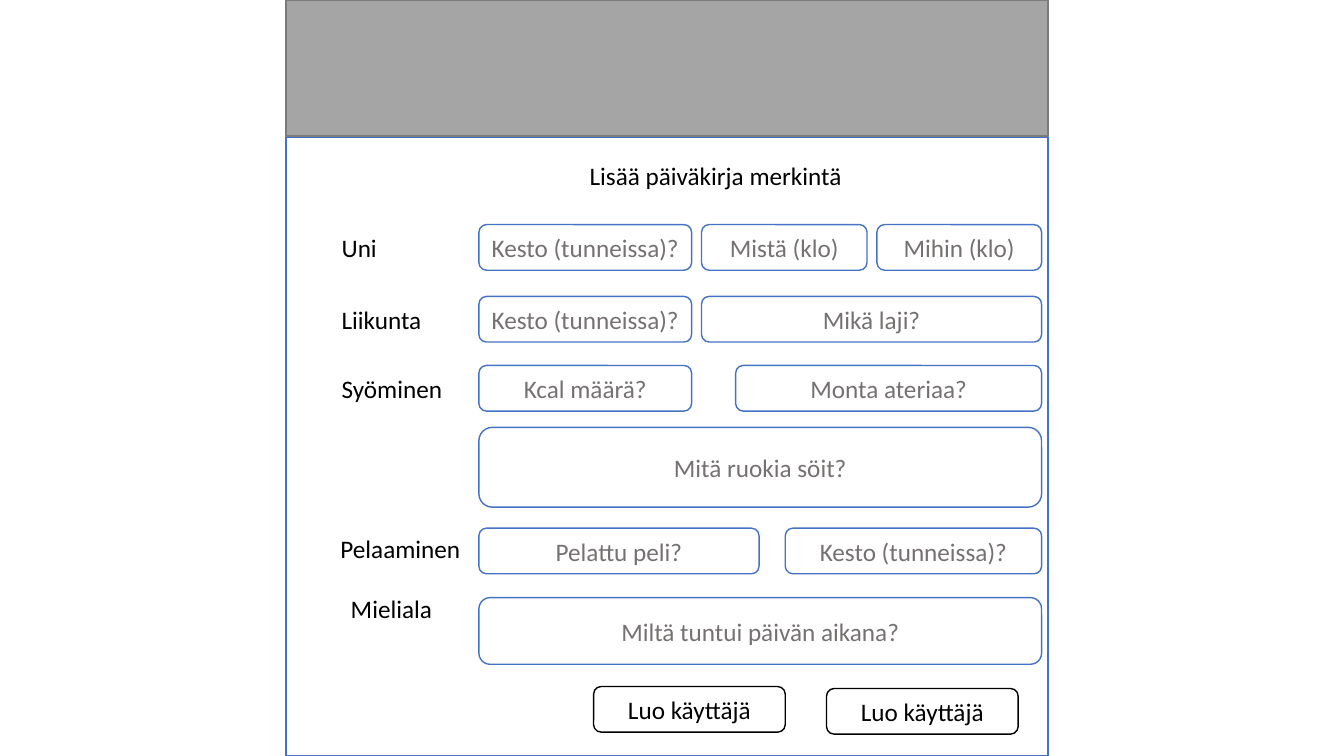
from pptx import Presentation
from pptx.dml.color import RGBColor
from pptx.enum.shapes import MSO_SHAPE
from pptx.enum.text import MSO_ANCHOR, MSO_AUTO_SIZE, PP_ALIGN
from pptx.util import Cm, Pt

BLUE, GREY, BLACK, WHITE = "4472C4", "767171", "000000", "FFFFFF"
FRAME_LEFT, FRAME_WIDTH = 7.21, 19.2
FIELD_LEFT, FIELD_RIGHT, FIELD_HEIGHT = 12.07, 26.25, 1.15
SHORT_WIDTH = 5.36
SECOND_LEFT, THIRD_LEFT, TIME_WIDTH = 17.68, 22.1, 4.17

# Label text, left, top, width
LABELS = [
    ("Lisää päiväkirja merkintä", 14.61, 3.91, 6.93),
    ("Uni", 8.36, 5.72, 1.4),
    ("Liikunta", 8.36, 7.54, 2.54),
    ("Syöminen", 8.36, 9.27, 3.07),
    ("Pelaaminen", 8.33, 13.31, 3.56),
    ("Mieliala", 8.59, 14.83, 2.59),
]

# Row top, row height, then prompt, left and width (None: up to the right edge)
FIELD_ROWS = [
    (5.66, FIELD_HEIGHT, [("Kesto (tunneissa)?", FIELD_LEFT, SHORT_WIDTH),
                          ("Mistä (klo)", SECOND_LEFT, TIME_WIDTH),
                          ("Mihin (klo)", THIRD_LEFT, None)]),
    (7.47, FIELD_HEIGHT, [("Kesto (tunneissa)?", FIELD_LEFT, SHORT_WIDTH),
                          ("Mikä laji?", SECOND_LEFT, None)]),
    (9.21, FIELD_HEIGHT, [("Kcal määrä?", FIELD_LEFT, SHORT_WIDTH),
                          ("Monta ateriaa?", 18.54, None)]),
    (10.77, 2.01, [("Mitä ruokia söit?", FIELD_LEFT, None)]),
    (13.31, FIELD_HEIGHT, [("Pelattu peli?", FIELD_LEFT, 7.06),
                           ("Kesto (tunneissa)?", 19.79, None)]),
    (15.06, 1.68, [("Miltä tuntui päivän aikana?", FIELD_LEFT, None)]),
]

BUTTONS = [(14.96, 17.3), (20.83, 17.35)]


def color(value):
    """Turn a hex string into a colour."""
    return RGBColor.from_string(value)


def write(shape, text, ink):
    """Put one unwrapped line of 18 pt text into a shape."""
    frame = shape.text_frame
    frame.text = text
    frame.word_wrap = False
    font = frame.paragraphs[0].runs[0].font
    font.name, font.size = "Calibri", Pt(18)
    font.color.rgb = color(ink)


def add_panel(page, kind, place, fill, line):
    """Add a filled, outlined shape at left, top, width, height in cm."""
    panel = page.shapes.add_shape(kind, *map(Cm, place))
    panel.shadow.inherit = False
    panel.fill.solid()
    panel.fill.fore_color.rgb = color(fill)
    panel.line.color.rgb = color(line)
    panel.line.width = Pt(1)
    return panel


def add_rounded(page, text, place, line, ink):
    """Add a rounded box with centred text."""
    box = add_panel(page, MSO_SHAPE.ROUNDED_RECTANGLE, place, WHITE, line)
    write(box, text, ink)
    box.text_frame.vertical_anchor = MSO_ANCHOR.MIDDLE
    box.text_frame.paragraphs[0].alignment = PP_ALIGN.CENTER


def add_label(page, text, left, top, width):
    """Add a plain text label."""
    box = page.shapes.add_textbox(Cm(left), Cm(top), Cm(width), Cm(1.03))
    write(box, text, BLACK)
    box.text_frame.auto_size = MSO_AUTO_SIZE.SHAPE_TO_FIT_TEXT


def main():
    """Build the diary entry form."""
    deck = Presentation()
    deck.slide_width, deck.slide_height = Cm(33.87), Cm(19.05)
    page = deck.slides.add_slide(deck.slide_layouts[6])

    add_panel(page, MSO_SHAPE.RECTANGLE,
              (FRAME_LEFT, 3.45, FRAME_WIDTH, 15.6), WHITE, BLUE)
    add_panel(page, MSO_SHAPE.RECTANGLE,
              (FRAME_LEFT, 0, FRAME_WIDTH, 3.43), "A5A5A5", "7A7A7A")
    for label in LABELS:
        add_label(page, *label)
    for top, height, fields in FIELD_ROWS:
        for prompt, left, width in fields:
            place = (left, top, width or FIELD_RIGHT - left, height)
            add_rounded(page, prompt, place, BLUE, GREY)
    for left, top in BUTTONS:
        place = (left, top, 4.83, FIELD_HEIGHT)
        add_rounded(page, "Luo käyttäjä", place, BLACK, BLACK)

    deck.save("out.pptx")


main()
